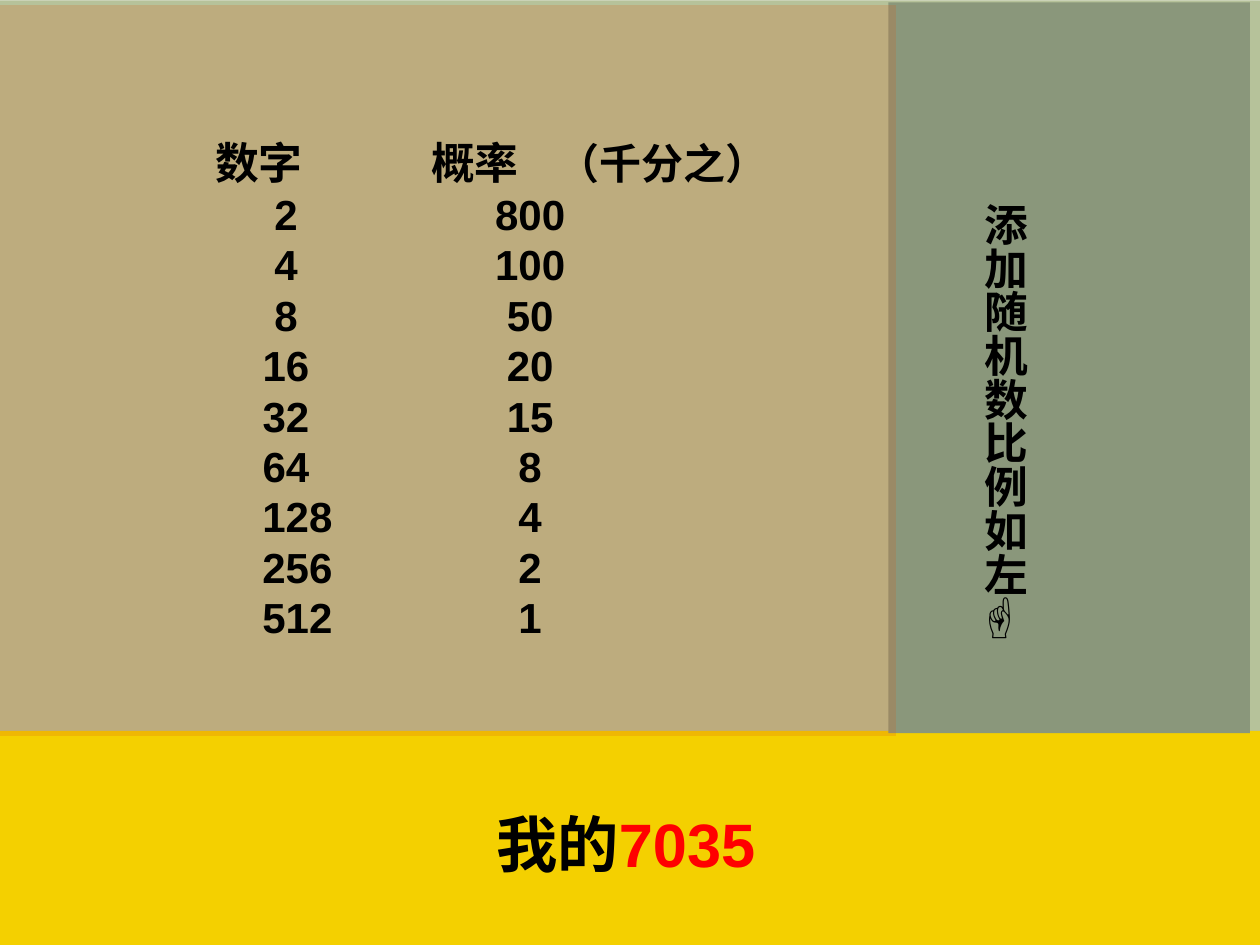
from lxml.etree import SubElement
from pptx import Presentation
from pptx.dml.color import RGBColor
from pptx.enum.shapes import MSO_SHAPE
from pptx.oxml.ns import qn
from pptx.util import Pt

FONT = "Arial"
BLACK = "000000"
RED = "FF0000"
ROW_PITCH = 28.8
VALUE_CENTER = 226
ODDS = [(2, 800), (4, 100), (8, 50), (16, 20), (32, 15),
        (64, 8), (128, 4), (256, 2), (512, 1)]


def color(hex_code):
    return RGBColor.from_string(hex_code)


def add_panel(page, left, top, width, height, fill, opacity=100):
    panel = page.shapes.add_shape(
        MSO_SHAPE.RECTANGLE, Pt(left), Pt(top), Pt(width), Pt(height))
    panel.shadow.inherit = False
    panel.line.fill.background()
    panel.fill.solid()
    panel.fill.fore_color.rgb = color(fill)
    if opacity < 100:
        fill_color = panel.fill._xPr.find(qn("a:solidFill"))[0]
        SubElement(fill_color, qn("a:alpha")).set("val", str(opacity * 1000))


def add_box(page, left, top, width, height, wrap=True):
    box = page.shapes.add_textbox(Pt(left), Pt(top), Pt(width), Pt(height))
    box.text_frame.word_wrap = wrap
    return box.text_frame


def add_span(para, text, size, hex_code=BLACK):
    span = para.add_run()
    span.text = text
    span.font.name = FONT
    span.font.size = Pt(size)
    span.font.bold = True
    span.font.color.rgb = color(hex_code)


def set_tabs(para, stops):
    tab_list = SubElement(para._p.get_or_add_pPr(), qn("a:tabLst"))
    for position, align in stops:
        tab = SubElement(tab_list, qn("a:tab"))
        tab.set("pos", str(int(Pt(position))))
        tab.set("algn", align)


def add_odds_list(page):
    frame = add_box(page, 69.84, 20.88, 389.5, 378)
    frame.margin_top = Pt(58)

    # Column headings
    heading = frame.paragraphs[0]
    heading.line_spacing = Pt(ROW_PITCH)
    set_tabs(heading, [(46, "l"), (169.5, "l"), (241.5, "l")])
    add_span(heading, "\t数字\t概率", 25)
    add_span(heading, "\t（千分之）", 24)

    # One line per number, three-digit numbers sit further right
    for number, chance in ODDS:
        para = frame.add_paragraph()
        para.line_spacing = Pt(ROW_PITCH)
        number_center = 93 if number >= 100 else 86.5
        set_tabs(para, [(number_center, "ctr"), (VALUE_CENTER, "ctr")])
        add_span(para, f"\t{number}\t{chance}", 24)


def add_title(page):
    para = add_box(page, 276.5, 457.2, 193.7, 49.7).paragraphs[0]
    add_span(para, "我的", 35)
    add_span(para, "7035", 35, RED)


def add_side_note(page):
    frame = add_box(page, 548.6, 112.3, 43.9, 257, wrap=False)
    frame.margin_left = frame.margin_right = Pt(3.6)
    frame.margin_top, frame.margin_bottom = Pt(3.8), Pt(7.2)
    frame._txBody.bodyPr.set("vert", "eaVert")
    add_span(frame.paragraphs[0], "添加随机数比例如左☜", 25)


def main():
    deck = Presentation()
    deck.slide_width, deck.slide_height = Pt(720), Pt(540)
    page = deck.slides.add_slide(deck.slide_layouts[6])

    # Backdrop
    add_panel(page, 0, 0, 720, 540, "B6C29A", opacity=72)
    add_panel(page, 0, 0.72, 720, 540, "B6C29A")

    # Title band, side panel and list panel
    add_panel(page, 0, 417.6, 720, 122.4, "F4D000")
    add_panel(page, 507.6, 1.44, 206.64, 417.6, "8A977B")
    add_panel(page, 0, 2.88, 511.92, 417.6, "DC5712", opacity=20)

    # Text
    add_odds_list(page)
    add_title(page)
    add_side_note(page)
    deck.save("out.pptx")


if __name__ == "__main__":
    main()
